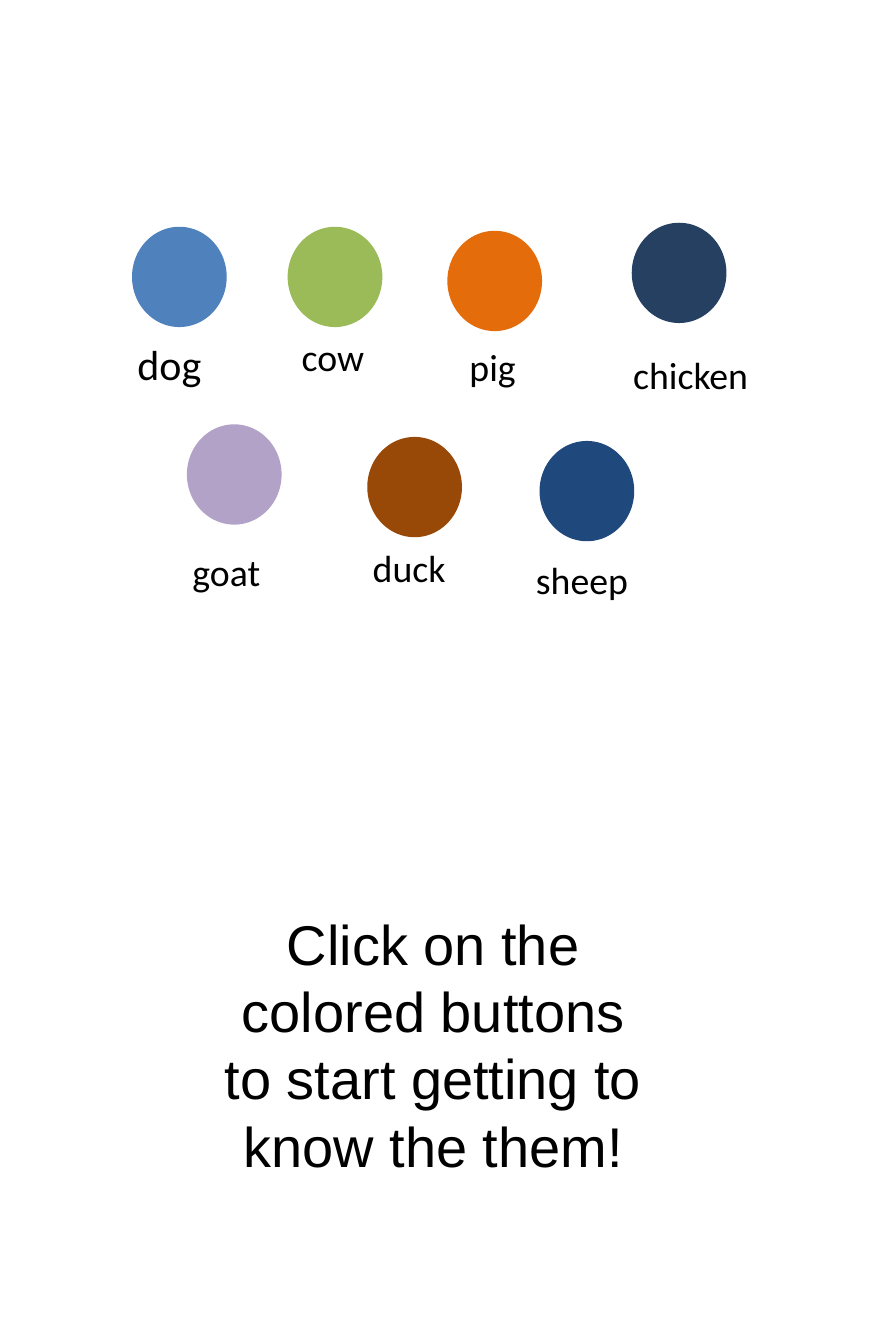
from pptx import Presentation
from pptx import util as u
from pptx.dml.color import RGBColor
from pptx.enum import shapes, text

BLACK = RGBColor(0x00, 0x00, 0x00)
BLUE = RGBColor(0x4F, 0x81, 0xBD)
GREEN = RGBColor(0x9B, 0xBB, 0x59)
ORANGE = RGBColor(0xE4, 0x6C, 0x0A)
NAVY = RGBColor(0x25, 0x40, 0x61)
LILAC = RGBColor(0xB3, 0xA2, 0xC7)
BROWN = RGBColor(0x98, 0x48, 0x07)
DARK_BLUE = RGBColor(0x1F, 0x49, 0x7D)

BUTTON_WIDTH, BUTTON_HEIGHT = 1.88, 1.99
LABEL_WIDTH, LABEL_HEIGHT = 3, 1.01

ANIMALS = [
    ("dog", BLUE, (2.62, 4.5), (2.63, 6.67), 60),
    ("cow", GREEN, (5.71, 4.5), (5.89, 6.58), 54),
    ("pig", ORANGE, (8.88, 4.58), (9.22, 6.77), 54),
    ("chicken", NAVY, (12.54, 4.42), (12.47, 6.92), 54),
    ("goat", LILAC, (3.71, 8.42), (3.72, 10.83), 54),
    ("duck", BROWN, (7.29, 8.67), (7.3, 10.75), 54),
    ("sheep", DARK_BLUE, (10.71, 8.75), (10.54, 11), 54),
]


class ButtonSlide:
    """Holds the slide and the style of its buttons and text."""

    def __init__(self, presentation):
        self.slide = presentation.slides.add_slide(presentation.slide_layouts[6])
        self.color = BLACK

    def button(self, left, top, color):
        shape = self.slide.shapes.add_shape(
            shapes.MSO_SHAPE.OVAL, u.Inches(left), u.Inches(top),
            u.Inches(BUTTON_WIDTH), u.Inches(BUTTON_HEIGHT))
        shape.shadow.inherit = False
        shape.fill.solid()
        shape.fill.fore_color.rgb = color
        shape.line.fill.background()

    def text(self, words, left, top, width, height, size,
             font="Calibri", align=text.PP_ALIGN.LEFT):
        shape = self.slide.shapes.add_textbox(
            u.Inches(left), u.Inches(top), u.Inches(width), u.Inches(height))
        frame = shape.text_frame
        frame.word_wrap = True
        frame.auto_size = text.MSO_AUTO_SIZE.SHAPE_TO_FIT_TEXT
        paragraph = frame.paragraphs[0]
        paragraph.text = words
        paragraph.alignment = align
        paragraph.font.name = font
        paragraph.font.size = u.Pt(size)
        paragraph.font.color.rgb = self.color


def main():
    presentation = Presentation()
    presentation.slide_width = u.Inches(17.25)
    presentation.slide_height = u.Inches(26.67)
    slide = ButtonSlide(presentation)
    slide.text("Click on the colored buttons to start getting to know the them!",
               4.29, 18, 8.62, 6.83, 80, "Arial", text.PP_ALIGN.CENTER)
    for name, color, button_place, label_place, size in ANIMALS:
        slide.button(*button_place, color)
        slide.text(name, *label_place, LABEL_WIDTH, LABEL_HEIGHT, size)
    presentation.save("out.pptx")


if __name__ == "__main__":
    main()
